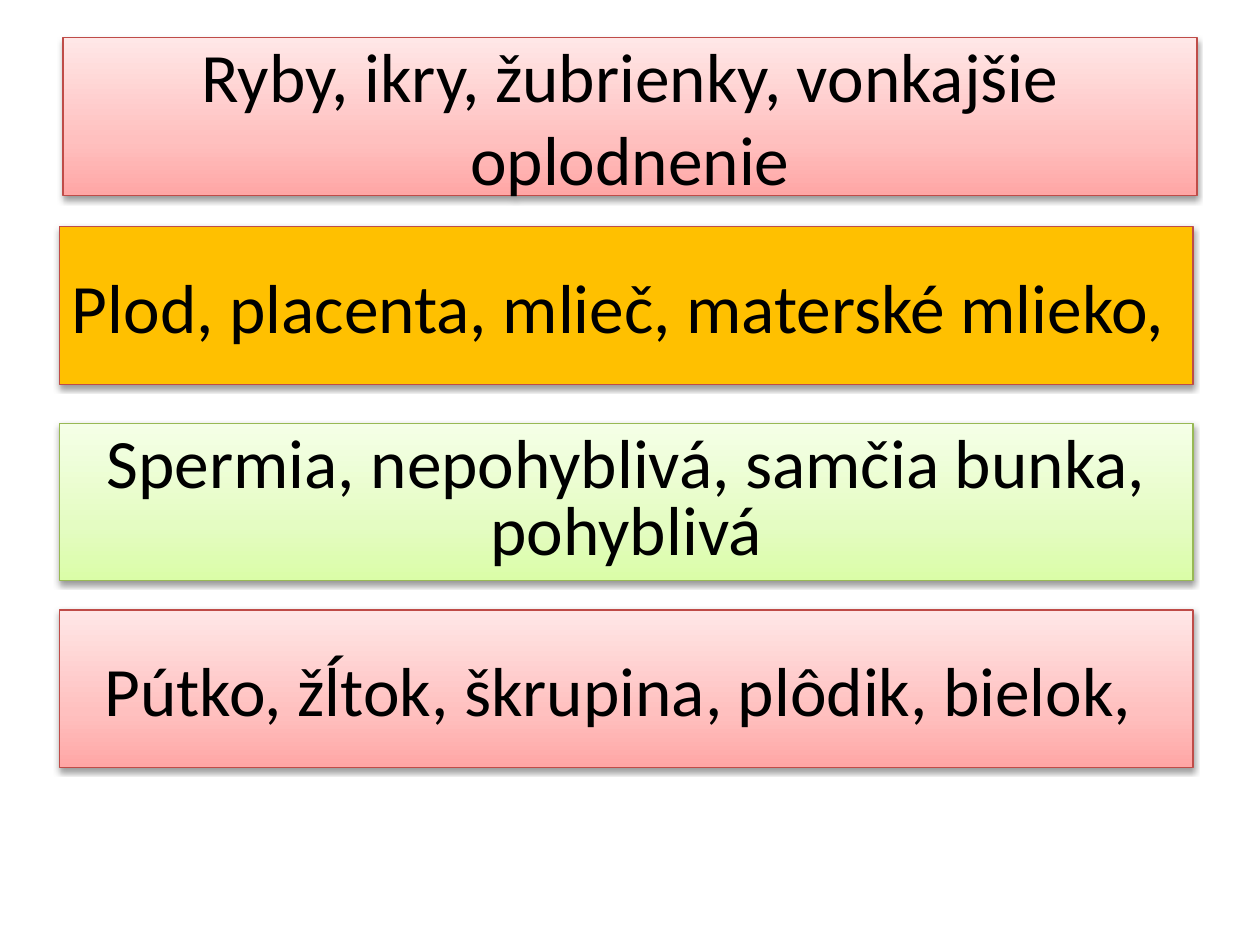
import copy
import pptx
import pptx.dml.color
import pptx.enum.shapes
import pptx.enum.text
import pptx.oxml
import pptx.oxml.ns
import pptx.util
from pptx.util import Inches

HUES = {
    "red": "BF4C48", "green": "98B955", "amber": "FFC000", "ink": "000000",
    "rose1": "FFA6A5", "rose2": "FFC0BF", "rose3": "FFE7E7",
    "lime1": "DAFDA7", "lime2": "E4FCC2", "lime3": "F5FFE7",
}
ROSE = ("rose1", "rose2", "rose3")
LIME = ("lime1", "lime2", "lime3")
STOPS = (0, 0.35, 1)
WIDE, HIGH = Inches(9), Inches(1.25)
BARS = [
    (0.5, 0.3, "Ryby, ikry, žubrienky, vonkajšie oplodnenie", ROSE, "red", 1),
    (0.47, 1.8, "Plod, placenta, mlieč, materské mlieko, ", ("amber",), "red", 1),
    (0.47, 3.36, "Spermia, nepohyblivá, samčia bunka, pohyblivá", LIME, "green", 0.8),
    (0.47, 4.84, "Pútko, žĺtok, škrupina, plôdik, bielok, ", ROSE, "red", 1),
]


def hue(name):
    return pptx.dml.color.RGBColor.from_string(HUES[name])


def paint(shape, names):
    fill = shape.fill
    if len(names) == 1:
        fill.solid()
        fill.fore_color.rgb = hue(names[0])
        return
    fill.gradient()
    fill.gradient_angle = 90
    first = shape._element.spPr.find(".//" + pptx.oxml.ns.qn("a:gs"))
    first.addnext(copy.deepcopy(first))
    for stop, name, place in zip(fill.gradient_stops, names, STOPS):
        stop.color.rgb = hue(name)
        stop.position = place


def shade(shape):
    shape.shadow.inherit = False
    glow = pptx.oxml.parse_xml(
        f'<a:outerShdw {pptx.oxml.ns.nsdecls("a")} blurRad="{pptx.util.Pt(3.1)}"'
        f' dist="{pptx.util.Pt(1.6)}" dir="5400000" rotWithShape="0">'
        f'<a:srgbClr val="{HUES["ink"]}"><a:alpha val="38000"/></a:srgbClr>'
        '</a:outerShdw>')
    shape._element.spPr.find(pptx.oxml.ns.qn("a:effectLst")).append(glow)


def add_bar(slide, box, words, fill, edge, lead):
    bar = slide.shapes.add_shape(pptx.enum.shapes.MSO_SHAPE.RECTANGLE, *box)
    paint(bar, fill)
    bar.line.color.rgb = hue(edge)
    bar.line.width = pptx.util.Pt(0.75)
    shade(bar)
    frame = bar.text_frame
    frame.text = words
    frame.word_wrap = True
    frame.vertical_anchor = pptx.enum.text.MSO_ANCHOR.MIDDLE
    para = frame.paragraphs[0]
    para.alignment = pptx.enum.text.PP_ALIGN.CENTER
    para.line_spacing = lead
    font = para.runs[0].font
    font.name = "Calibri"
    font.size = pptx.util.Pt(39.6)
    font.color.rgb = hue("ink")


def main():
    deck = pptx.Presentation()
    deck.slide_width, deck.slide_height = Inches(10), Inches(7.5)
    slide = deck.slides.add_slide(deck.slide_layouts[6])
    for left, top, *rest in BARS:
        add_bar(slide, (Inches(left), Inches(top), WIDE, HIGH), *rest)
    deck.save("out.pptx")


if __name__ == "__main__":
    main()
